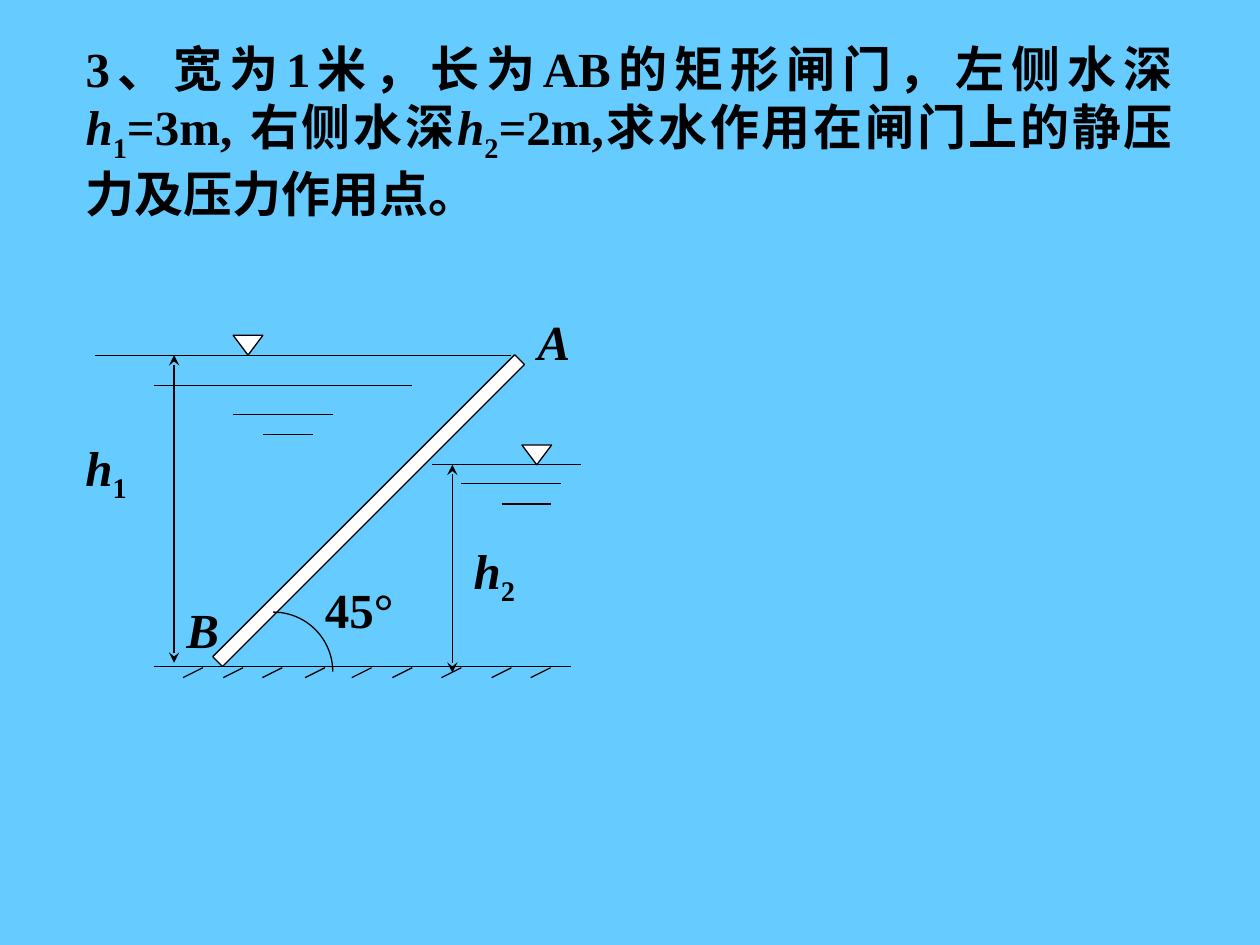
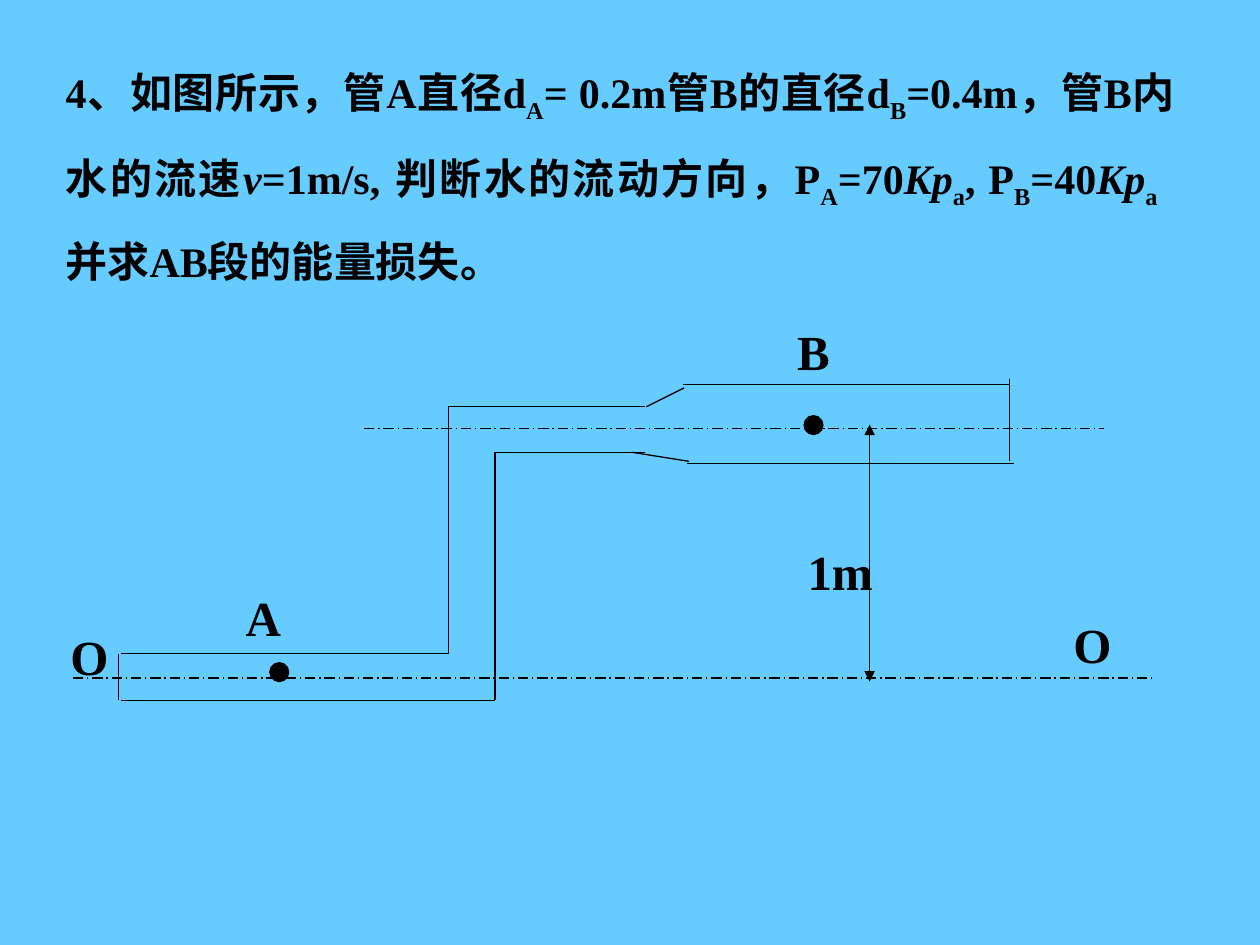
"""Build two hydraulics exercise slides: a sluice gate and a stepped pipe."""
from lxml import etree
from pptx import Presentation
from pptx.dml.color import RGBColor
from pptx.enum import dml, shapes, text
from pptx.oxml import ns
from pptx.util import Cm, Pt

SKY = RGBColor(0x66, 0xCC, 0xFF)
INK = RGBColor(0, 0, 0)
WHITE = RGBColor(0xFF, 0xFF, 0xFF)
FONT = "Times New Roman"
LABEL_SIZE = 28
TITLE_ONLY = 5

GATE_QUESTION = [
    ("3、宽为1米，长为AB的矩形闸门，左侧水深", ""), ("h", "italic"), ("1", "sub"),
    ("=3m, 右侧水深", ""), ("h", "italic"), ("2", "sub"),
    ("=2m,求水作用在闸门上的静压力及压力作用点。", ""),
]
GATE_LABELS = [
    ((6.3, 11.56, 2.59, 1.45), [("45°", "")]),
    ((1.47, 8.69, 2.01, 1.6), [("h", "italic"), ("1", "sub")]),
    ((9.3, 10.77, 2.01, 1.6), [("h", "italic"), ("2", "sub")]),
    ((10.59, 6.15, 2.01, 1.45), [("A", "italic")]),
    ((3.51, 11.96, 1.19, 1.45), [("B", "italic")]),
]
WATER_AND_GROUND = [
    (1.91, 10.31, 7.16), (3.1, 8.31, 7.77), (4.7, 6.71, 8.36), (5.31, 6.3, 8.76),
    (8.71, 11.71, 9.37), (9.3, 11.3, 9.75), (10.11, 11.1, 10.16),
    (3.1, 11.51, 13.44),
]
HATCH_TOP = 13.46
HATCHES = [4.09, 4.9, 5.69, 6.55, 7.49, 8.31, 9.3, 10.31, 11.1]
DEPTHS = [(3.51, 7.16, 13.36), (9.12, 9.37, 13.56)]
LEVEL_MARKS = [(5, 7.16), (10.82, 9.37)]
GATE = (7.29, 5.99, 0.28, 8.61)
ANGLE_CENTRE, ANGLE_RADIUS = (5.51, 13.54), 1.2

PIPE_QUESTION = [
    ("4、如图所示，管A直径d", ""), ("A", "sub"), ("= 0.2m管B的直径d", ""), ("B", "sub"),
    ("=0.4m，管B内水的流速", ""), ("v", "italic"), ("=1m/s, 判断水的流动方向，P", ""),
    ("A", "sub"), ("=70", ""), ("Kp", "italic"), ("a", "sub"), (", P", ""), ("B", "sub"),
    ("=40", ""), ("Kp", "italic"), ("a", "sub"), ("\t并求AB段的能量损失。", ""),
]
QUESTION_TAB = 4.1
PIPE_LABELS = [
    ((15.82, 6.35, 2.64, 1.45), [("B", "")]),
    ((4.7, 11.71, 2.64, 1.45), [("A", "")]),
    ((16.03, 10.8, 2.82, 1.45), [("1m", "")]),
    ((21.39, 12.27, 1.8, 1.45), [("O", "")]),
    ((1.17, 12.5, 1.8, 1.45), [("O", "")]),
]
PIPE_WALLS = [
    [(2.44, 13.18), (9.04, 13.18), (9.04, 8.2), (13, 8.2)],
    [(13.03, 8.2), (13.79, 7.82)],
    [(13.77, 7.75), (20.37, 7.75)],
    [(2.44, 14.12), (9.98, 14.12), (9.98, 9.12), (13, 9.12)],
    [(12.75, 9.12), (13.89, 9.3)],
    [(13.84, 9.35), (20.45, 9.35)],
    [(2.39, 13.18), (2.39, 14.12)],
    [(20.35, 7.65), (20.35, 9.3)],
]
AXES = [(7.34, 22.25, 8.64), (1.47, 23.29, 13.67)]
POINTS = [(5.63, 13.55), (16.4, 8.57)]
POINT_SIZE = 0.38
HEIGHT = (17.53, 8.56, 13.74)


def write(frame, spans, size):
    """Fill a text frame with one paragraph of styled spans."""
    frame.word_wrap = True
    frame.auto_size = text.MSO_AUTO_SIZE.NONE
    frame.vertical_anchor = text.MSO_ANCHOR.TOP
    para = frame.paragraphs[0]
    for words, style in spans:
        span = para.add_run()
        span.text = words
        span.font.name = FONT
        span.font.size = Pt(size)
        span.font.bold = True
        span.font.italic = style == "italic"
        span.font.color.rgb = INK
        if style == "sub":
            span.font._element.set("baseline", "-25000")
    return para


def add_page(deck, place, question, size):
    """Add a slide whose title holds the question."""
    page = deck.slides.add_slide(deck.slide_layouts[TITLE_ONLY])
    title = page.shapes.title
    title.left, title.top, title.width, title.height = map(Cm, place)
    para = write(title.text_frame, question, size)
    para.alignment = text.PP_ALIGN.JUSTIFY
    return page, para


def add_labels(page, labels):
    """Add the labels of a drawing."""
    for place, spans in labels:
        box = page.shapes.add_textbox(*map(Cm, place))
        write(box.text_frame, spans, LABEL_SIZE)


def add_line(page, start, end, arrow=None, dash=None):
    """Draw a thin line, with the arrowhead on both ends if one is named."""
    line = page.shapes.add_connector(
        shapes.MSO_CONNECTOR.STRAIGHT, *map(Cm, (*start, *end)))
    line.line.color.rgb = INK
    line.line.width = Pt(0.75)
    if dash:
        line.line.dash_style = dash
    if arrow:
        outline = line.line._get_or_add_ln()
        for tag in ("a:headEnd", "a:tailEnd"):
            etree.SubElement(outline, ns.qn(tag), type=arrow)
    etree.SubElement(line._element.spPr, ns.qn("a:effectLst"))


def add_figure(page, kind, place, fill=None, rotation=0):
    """Draw a thinly outlined preset shape."""
    figure = page.shapes.add_shape(kind, *map(Cm, place))
    figure.shadow.inherit = False
    figure.rotation = rotation
    figure.line.color.rgb = INK
    figure.line.width = Pt(0.75)
    if fill is None:
        figure.fill.background()
    else:
        figure.fill.solid()
        figure.fill.fore_color.rgb = fill


def build_gate(deck):
    """Build the sluice gate exercise."""
    page, _ = add_page(deck, (1.47, 0.64, 22.43, 3.99), GATE_QUESTION, 28)
    for left, right, level in WATER_AND_GROUND:
        add_line(page, (left, level), (right, level))
    add_figure(page, shapes.MSO_SHAPE.RECTANGLE, GATE, WHITE, 45)
    for x in HATCHES:
        add_line(page, (x, HATCH_TOP), (x - 0.4, HATCH_TOP + 0.2))
    for x, top, bottom in DEPTHS:
        add_line(page, (x, top), (x, bottom), arrow="stealth")
    x, y = ANGLE_CENTRE
    add_figure(page, shapes.MSO_SHAPE.ARC,
               (x - ANGLE_RADIUS, y - ANGLE_RADIUS, 2 * ANGLE_RADIUS, 2 * ANGLE_RADIUS))
    add_labels(page, GATE_LABELS)
    for x, level in LEVEL_MARKS:
        add_figure(page, shapes.MSO_SHAPE.ISOSCELES_TRIANGLE,
                   (x - 0.3, level - 0.4, 0.6, 0.4), WHITE, 180)


def build_pipe(deck):
    """Build the stepped pipe exercise."""
    page, para = add_page(deck, (1.07, 0.64, 22.86, 5.46), PIPE_QUESTION, 24)
    para.line_spacing = 1.5
    tabs = etree.SubElement(para._p.get_or_add_pPr(), ns.qn("a:tabLst"))
    etree.SubElement(tabs, ns.qn("a:tab"), pos=str(Cm(QUESTION_TAB)), algn="l")
    for wall in PIPE_WALLS:
        for start, end in zip(wall, wall[1:]):
            add_line(page, start, end)
    for left, right, level in AXES:
        add_line(page, (left, level), (right, level), dash=dml.MSO_LINE.LONG_DASH_DOT)
    for x, y in POINTS:
        add_figure(page, shapes.MSO_SHAPE.OVAL,
                   (x - POINT_SIZE / 2, y - POINT_SIZE / 2, POINT_SIZE, POINT_SIZE), INK)
    x, top, bottom = HEIGHT
    add_line(page, (x, top), (x, bottom), arrow="triangle")
    add_labels(page, PIPE_LABELS)


def main():
    """Create the deck and save it."""
    deck = Presentation()
    deck.slide_width, deck.slide_height = Cm(25.4), Cm(19.05)
    backdrop = deck.slide_master.background.fill
    backdrop.solid()
    backdrop.fore_color.rgb = SKY
    build_gate(deck)
    build_pipe(deck)
    deck.save("out.pptx")


if __name__ == "__main__":
    main()
